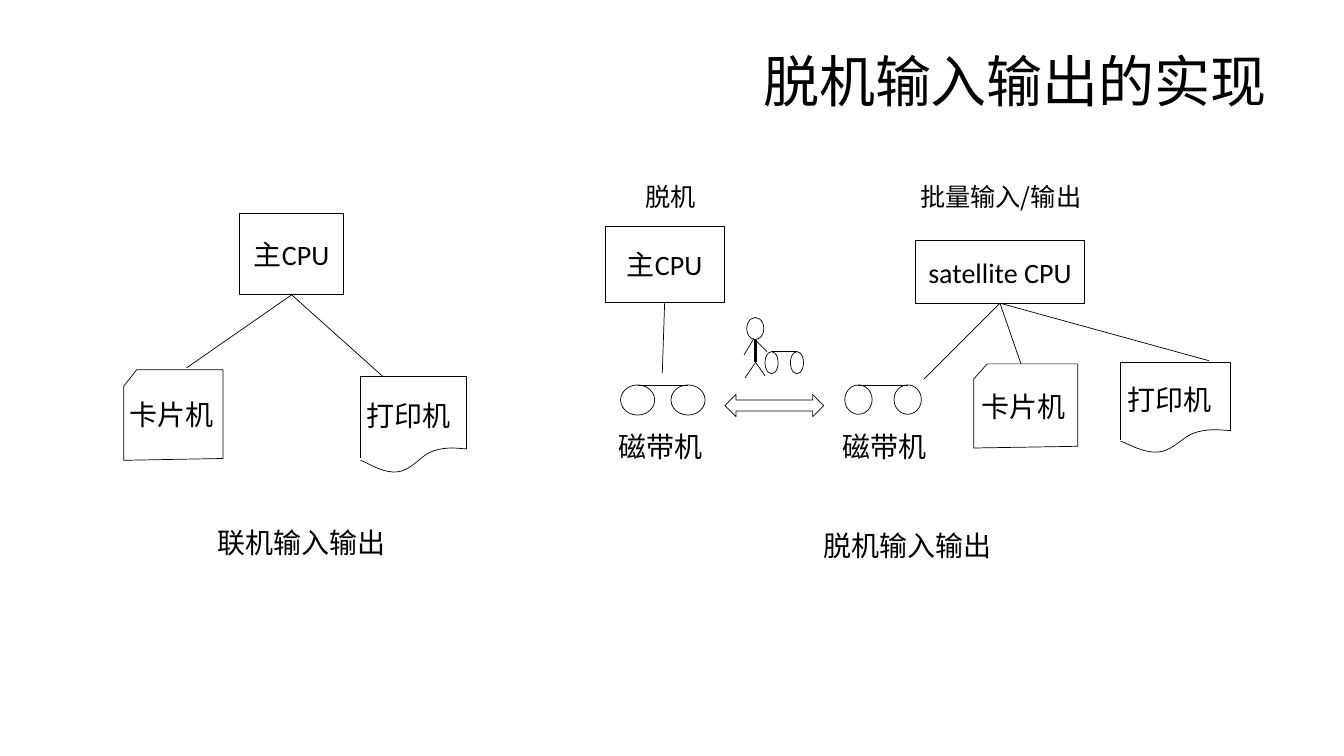
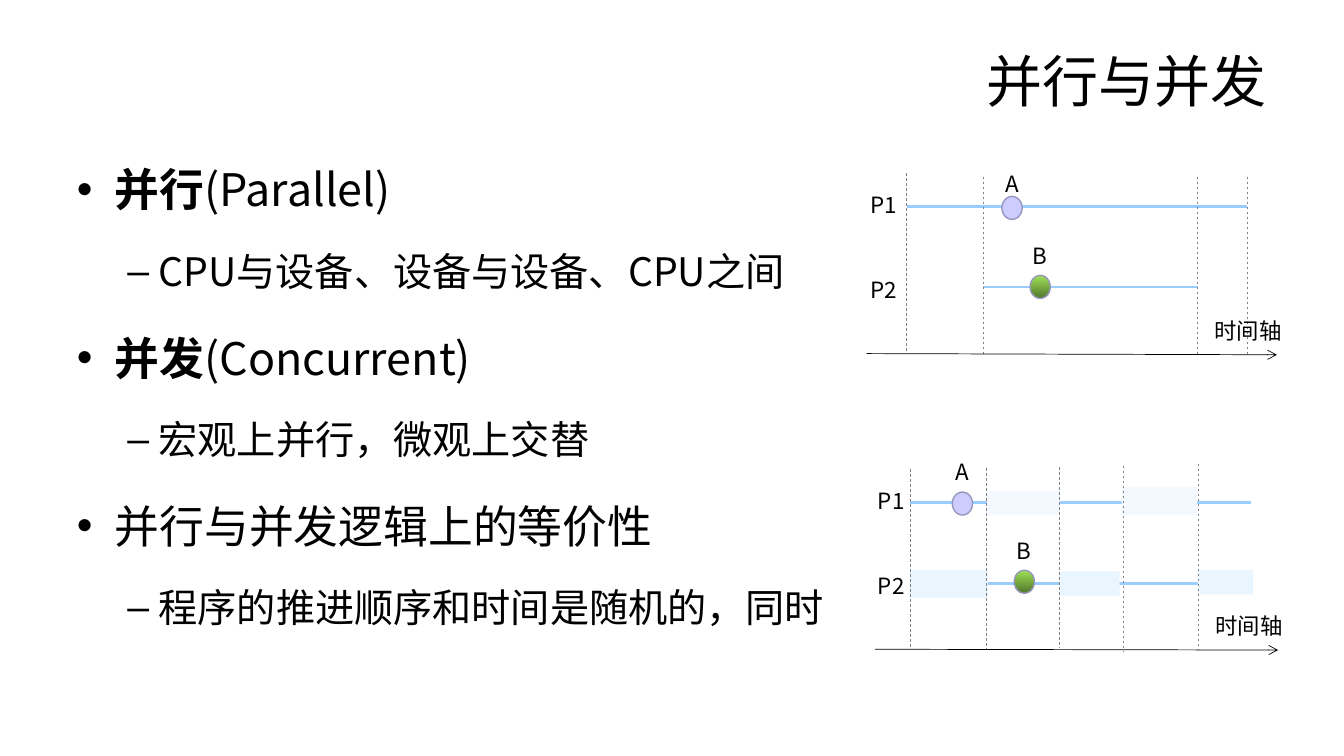
from lxml import etree
from pptx import Presentation
from pptx.dml.color import RGBColor
from pptx.enum.dml import MSO_LINE
from pptx.enum.shapes import MSO_CONNECTOR, MSO_SHAPE
from pptx.enum.text import MSO_ANCHOR as Anchor, PP_ALIGN as Align
from pptx.oxml.ns import qn
from pptx.util import Cm, Pt

# Shared look
BLACK, GREY, BLUE, RIM = "000000", "808080", "99CCFF", "9797BD"
PALE, PALER, LILAC = "E9F5FF", "F3F9FF", "CCCCFF"
GREEN = ("9EE256", "52762D")
SANS, LATIN, TITLE_FONT = "Noto Sans CJK SC", "Calibri", "Arial"
THIN = 0.5
TITLE_AREA = (1.69, 0.76, 30.48, 2.51)

# Slide 1 content: all lengths in centimetres
IO_TITLE = "脱机输入输出的实现"
CPUS = [  # text, area, ends of the lines to its devices
    ("主CPU", (6.04, 5.38, 2.62, 2.05), [(4.7, 9.27), (9.63, 9.47)]),
    ("主CPU", (15.25, 5.7, 3, 1.91), [(16.69, 9.4)]),
    ("satellite CPU", (23.08, 6.07, 4.24, 1.57),
     [(23.29, 9.55), (25.73, 9.17), (30.47, 9.09)]),
]
CARD_READERS = [(3.12, 9.32, 2.5, 2.28), (24.54, 9.17, 2.62, 2.12)]
PRINTERS = [(9.09, 9.48, 2.67, 2.41), (28.24, 9.14, 2.76, 2.25)]
TAPES = [  # left, top, reel width, reel height, reel pitch
    (15.64, 9.7, 0.86, 0.76, 1.27),
    (21.29, 9.7, 0.69, 0.74, 1.24),
    (19.28, 8.86, 0.33, 0.56, 0.64),
]
IO_LABELS = [
    ("磁带机", (15.52, 10.47, 2.26, 1.57)),
    ("磁带机", (21.16, 10.47, 2.26, 1.57)),
    ("联机输入输出", (4.98, 12.83, 5.26, 1.68)),
    ("脱机输入输出", (20.32, 12.95, 5.11, 1.57)),
]
HEADINGS = [("脱机", (16.02, 4.44, 1.78, 1.02), False),
            ("批量输入/输出", (22.94, 4.44, 4.62, 1.02), True)]
TRANSFER_ARROW = (18.27, 9.94, 2.49, 0.56)
OPERATOR_HEAD = (18.82, 8, 0.43, 0.56)
OPERATOR_LIMBS = [  # start, end, width
    ((19.03, 8.56), (19.03, 9.12), 2.25),
    ((19, 8.53), (18.75, 8.94), THIN),
    ((19.03, 8.56), (19.33, 8.86), THIN),
    ((19.05, 9.12), (18.77, 9.53), THIN),
    ((19.05, 9.14), (19.28, 9.47), THIN),
]

# Outlines as fractions of the device's area
CARD_OUTLINE = [(0, 1), (0, 0.18), (0.13, 0), (1, 0), (1, 0.98)]
PAPER_EDGE = [(0, 0.86), (0, 0), (1, 0), (1, 0.76)]
PAPER_WAVE = [
    ((1, 0.76), (0.94, 0.76), (0.83, 0.73), (0.69, 0.78)),
    ((0.69, 0.78), (0.57, 0.82), (0.49, 0.98), (0.35, 1)),
    ((0.35, 1), (0.21, 1.02), (0.06, 0.9), (0, 0.88)),
]

# Slide 2 content
PARALLEL_TITLE = "并行与并发"
BODY_AREA = (1.69, 3.28, 30.48, 13.74)
POINTS = [  # level, runs of (text, bold)
    (0, [("并行", True), ("(Parallel)", False)]),
    (1, [("CPU与设备、设备与设备、CPU之间", False)]),
    (0, [("并发", True), ("(Concurrent)", False)]),
    (1, [("宏观上并行，微观上交替", False)]),
    (0, [("并行与并发逻辑上的等价性", False)]),
    (1, [("程序的推进顺序和时间是随机的，同时", False)]),
]
LEVELS = [  # bullet, size, indent, hanging, space before
    ("•", 32, 0.95, 0.95, 6.4),
    ("–", 28, 2.06, 0.79, 5.6),
]
TIMELINES = [
    {   # both processes run at once
        "runs": [(22.86, 31.42, 5.21), (24.77, 30.18, 7.23)],
        "idle": [],
        "ticks": [(22.84, 4.37, 8.9), (24.77, 4.45, 8.94),
                  (30.18, 4.45, 8.92), (31.43, 4.45, 8.94)],
        "axis": ((21.84, 8.91), (32.18, 8.94)),
        "labels": [("P1", (21.41, 4.37, 1.73, 1.57)),
                   ("P2", (21.4, 6.5, 1.72, 1.57)),
                   ("时间轴", (30.4, 8, 2.11, 0.64))],
        "dots": [("A", 25.25, 4.95, 4.11, LILAC),
                 ("B", 25.96, 6.94, 5.94, GREEN)],
    },
    {   # the processes take turns
        "runs": [(22.94, 31.52, 12.66), (22.99, 31.52, 14.71)],
        "idle": [((24.87, 12.37, 1.85, 0.61), PALER),
                 ((28.27, 12.27, 1.9, 0.71), PALER),
                 ((22.94, 14.37, 1.96, 0.69), PALE),
                 ((26.72, 14.4, 1.5, 0.61), PALE),
                 ((30.18, 14.37, 1.4, 0.61), PALE)],
        "ticks": [(22.94, 11.81, 16.33), (24.85, 11.79, 16.33),
                  (26.7, 11.76, 16.33), (28.3, 11.73, 16.41),
                  (30.19, 11.68, 16.38)],
        "axis": ((22.05, 16.36), (32.21, 16.38)),
        "labels": [("P1", (21.76, 11.82, 1.4, 1.57)),
                   ("P2", (21.76, 13.96, 1.4, 1.57)),
                   ("时间轴", (30.44, 15.44, 2.08, 0.64))],
        "dots": [("A", 24, 12.4, 11.38, LILAC),
                 ("B", 25.56, 14.37, 13.36, GREEN)],
    },
]
DOT_WIDTH, DOT_HEIGHT = 0.51, 0.58
DOT_LABEL = (1.22, 1.02)


def rgb(value):
    return RGBColor.from_string(value)


def add_span(para, text, size, font, bold=False):
    span = para.add_run()
    span.text = text
    span.font.size, span.font.name, span.font.bold = Pt(size), font, bold
    span.font.color.rgb = rgb(BLACK)
    east_asian = etree.SubElement(span._r.get_or_add_rPr(), qn("a:ea"))
    east_asian.set("typeface", SANS)


def set_frame(frame, anchor=Anchor.MIDDLE, inset=0.0, wrap=True):
    frame.word_wrap, frame.vertical_anchor = wrap, anchor
    frame.margin_left = frame.margin_right = Cm(inset)
    frame.margin_top = frame.margin_bottom = Cm(min(inset, 0.13))


def add_label(page, text, area, size=20, font=LATIN, align=Align.CENTER, **frame):
    box = page.shapes.add_textbox(*map(Cm, area))
    set_frame(box.text_frame, **frame)
    para = box.text_frame.paragraphs[0]
    para.alignment = align
    add_span(para, text, size, font)


def style(shape, fill=None, line=BLACK, width=THIN):
    shape.shadow.inherit = False
    if fill is None:
        shape.fill.background()
    elif isinstance(fill, tuple):
        shape.fill.gradient()
        shape.fill.gradient_angle = 270
        for stop, colour in zip(shape.fill.gradient_stops, fill):
            stop.color.rgb = rgb(colour)
    else:
        shape.fill.solid()
        shape.fill.fore_color.rgb = rgb(fill)
    if line is None:
        shape.line.fill.background()
    else:
        shape.line.color.rgb = rgb(line)
        shape.line.width = Pt(width)
    return shape


def add_shape(page, kind, area, **look):
    return style(page.shapes.add_shape(kind, *map(Cm, area)), **look)


def add_line(page, start, end, colour=BLACK, width=THIN, dash=False, arrow=False):
    line = page.shapes.add_connector(MSO_CONNECTOR.STRAIGHT, *map(Cm, start + end))
    line.line.color.rgb = rgb(colour)
    line.line.width = Pt(width)
    if dash:
        line.line.dash_style = MSO_LINE.DASH
    if arrow:
        tail = etree.SubElement(line.line._get_or_add_ln(), qn("a:tailEnd"))
        tail.set("type", "arrow")
    etree.SubElement(line._element.spPr, qn("a:effectLst"))
    return line


def add_outline(page, area, fractions, close=False):
    left, top, width, height = area
    points = [(Cm(left + x * width), Cm(top + y * height)) for x, y in fractions]
    builder = page.shapes.build_freeform(*points[0])
    builder.add_line_segments(points[1:], close=close)
    style(builder.convert_to_shape())


def curve_points(curve, steps=10):
    for step in range(1, steps + 1):
        t = step / steps
        weights = ((1 - t) ** 3, 3 * t * (1 - t) ** 2, 3 * t * t * (1 - t), t ** 3)
        yield tuple(sum(w * point[axis] for w, point in zip(weights, curve))
                    for axis in (0, 1))


def add_card_reader(page, area):
    left, top, width, height = area
    add_outline(page, area, CARD_OUTLINE, close=True)
    add_label(page, "卡片机", (left, top + 0.28, width * 0.96, height * 0.74))


def add_printer(page, area):
    left, top, width, height = area
    wave = [point for curve in PAPER_WAVE for point in curve_points(curve)]
    add_outline(page, area, PAPER_EDGE)
    add_outline(page, area, [PAPER_WAVE[0][0]] + wave)
    add_label(page, "打印机", (left + 0.03, top + 0.13, width * 0.88, height * 0.7))


def add_tape(page, left, top, width, height, pitch):
    for reel_left in (left, left + pitch):
        add_shape(page, MSO_SHAPE.OVAL, (reel_left, top, width, height))
    middle = left + width / 2
    add_line(page, (middle, top), (middle + pitch, top))


def add_page(deck, title):
    page = deck.slides.add_slide(deck.slide_layouts[6])
    add_label(page, title, TITLE_AREA, 40, TITLE_FONT, Align.RIGHT, inset=0.25)
    return page


def build_io_page(deck):
    page = add_page(deck, IO_TITLE)
    # Processors and the lines to their devices
    for text, area, ends in CPUS:
        cpu = add_shape(page, MSO_SHAPE.RECTANGLE, area)
        set_frame(cpu.text_frame)
        para = cpu.text_frame.paragraphs[0]
        para.alignment = Align.CENTER
        add_span(para, text, 20, LATIN)
        left, top, width, height = area
        for end in ends:
            link = add_line(page, (left + width / 2, top + height), end)
            link.begin_connect(cpu, 2)
    # Devices
    for area in CARD_READERS:
        add_card_reader(page, area)
    for area in PRINTERS:
        add_printer(page, area)
    for tape in TAPES:
        add_tape(page, *tape)
    # Operator carrying a tape
    add_shape(page, MSO_SHAPE.LEFT_RIGHT_ARROW, TRANSFER_ARROW)
    add_shape(page, MSO_SHAPE.OVAL, OPERATOR_HEAD)
    for start, end, width in OPERATOR_LIMBS:
        add_line(page, start, end, width=width)
    # Labels and headings
    for text, area in IO_LABELS:
        add_label(page, text, area)
    for text, area, wrap in HEADINGS:
        add_label(page, text, area, 18, SANS, Align.LEFT,
                  anchor=Anchor.TOP, inset=0.25, wrap=wrap)


def add_points(page):
    frame = page.shapes.add_textbox(*map(Cm, BODY_AREA)).text_frame
    set_frame(frame, Anchor.TOP, 0.25)
    for index, (level, spans) in enumerate(POINTS):
        bullet, size, indent, hanging, before = LEVELS[level]
        para = frame.add_paragraph() if index else frame.paragraphs[0]
        props = para._p.get_or_add_pPr()
        props.set("marL", str(Cm(indent)))
        props.set("indent", str(-Cm(hanging)))
        etree.SubElement(props, qn("a:buFont")).set("typeface", "Arial")
        etree.SubElement(props, qn("a:buChar")).set("char", bullet)
        para.level, para.line_spacing = level, 1.5
        para.space_before = Pt(before if index else 0)
        for text, bold in spans:
            add_span(para, text, size, SANS, bold)


def add_timeline(page, chart):
    for start, end, height in chart["runs"]:
        add_line(page, (start, height), (end, height), BLUE, 2)
    for area, colour in chart["idle"]:
        add_shape(page, MSO_SHAPE.RECTANGLE, area, fill=colour, line=None)
    for x, top, bottom in chart["ticks"]:
        add_line(page, (x, top), (x, bottom), GREY, dash=True)
    add_line(page, *chart["axis"], arrow=True)
    for text, area in chart["labels"]:
        add_label(page, text, area, 16, SANS, inset=0.05)
    for text, left, top, label_top, fill in chart["dots"]:
        add_shape(page, MSO_SHAPE.OVAL, (left, top, DOT_WIDTH, DOT_HEIGHT),
                  fill=fill, line=RIM, width=1)
        label_left = left + (DOT_WIDTH - DOT_LABEL[0]) / 2
        add_label(page, text, (label_left, label_top) + DOT_LABEL, 16, SANS, inset=0.05)


def build_parallel_page(deck):
    page = add_page(deck, PARALLEL_TITLE)
    add_points(page)
    for chart in TIMELINES:
        add_timeline(page, chart)


def main():
    deck = Presentation()
    deck.slide_width, deck.slide_height = Cm(33.87), Cm(19.05)
    build_io_page(deck)
    build_parallel_page(deck)
    deck.save("out.pptx")


if __name__ == "__main__":
    main()
